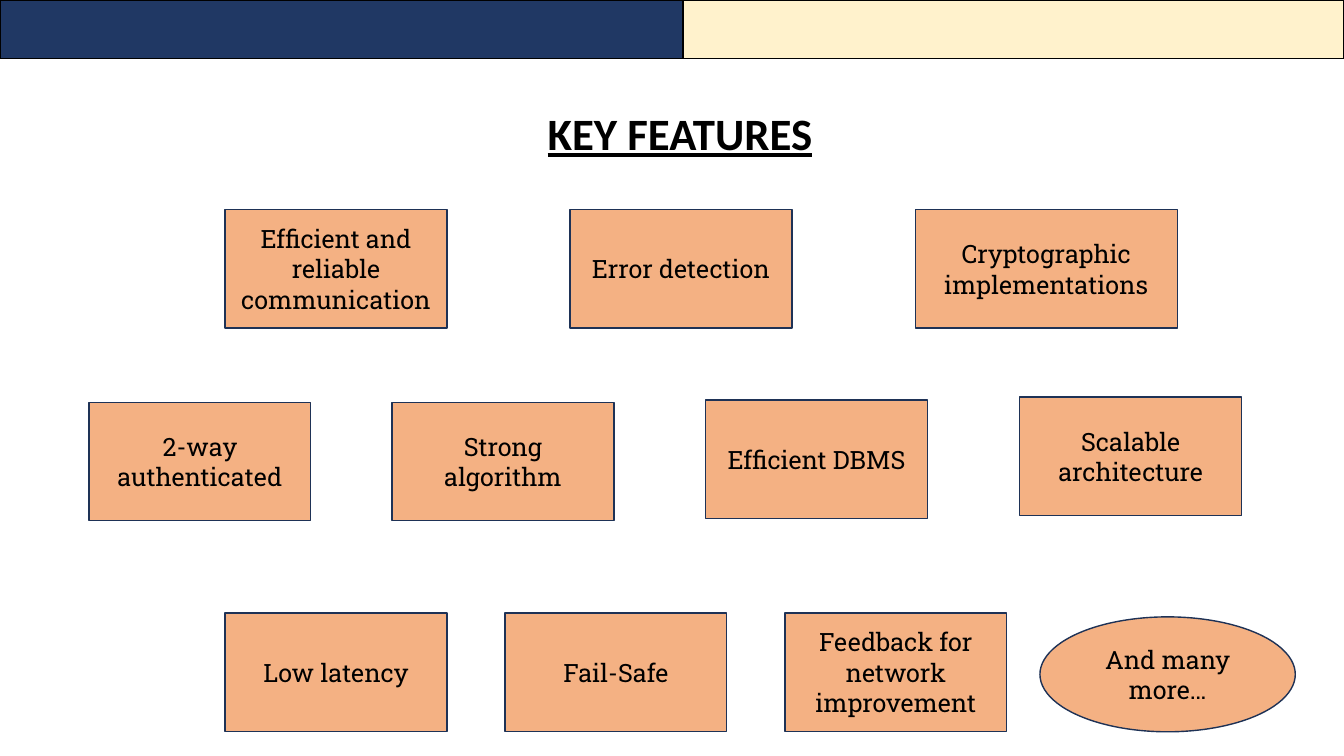
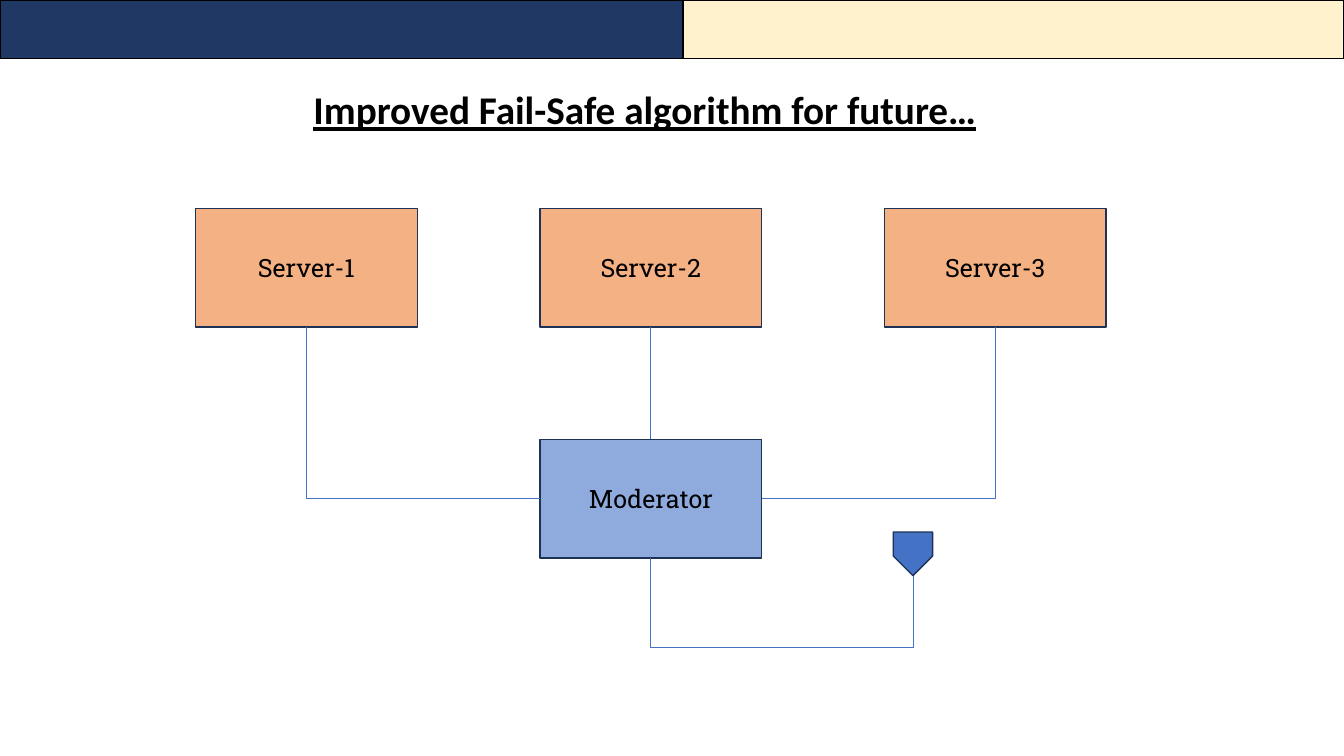
from dataclasses import dataclass

from pptx import Presentation
from pptx.dml.color import RGBColor
from pptx.enum.shapes import MSO_CONNECTOR as WIRE, MSO_SHAPE as SHAPE
from pptx.enum.text import MSO_ANCHOR, MSO_AUTO_SIZE, PP_ALIGN
from pptx.oxml.ns import qn
from pptx.util import Inches, Pt

COLS, ROWS = 40, 30
WIDE, HIGH = Inches(13.33), Inches(7.5)


@dataclass(frozen=True)
class Theme:
    navy: str = "203864"
    cream: str = "FFF2CC"
    peach: str = "F4B183"
    sky: str = "8FAADC"
    blue: str = "4472C4"
    edge: str = "1E3256"
    ink: str = "000000"
    head: str = "Calibri"
    body: str = "Roboto Slab"
    text: int = 18
    box: tuple = (6.6, 4.7)
    split: float = 20.33
    band: float = 2.33


class Deck:
    """Holds the theme and the current slide; lengths are grid columns and rows."""

    def __init__(self):
        self.theme = Theme()
        self.file = Presentation()
        self.file.slide_width, self.file.slide_height = WIDE, HIGH
        self.slide = None

    def grid(self, col, row):
        return round(col * WIDE / COLS), round(row * HIGH / ROWS)

    def style(self, para, font, size):
        para.font.name, para.font.size = font, Pt(size)
        para.font.color.rgb = RGBColor.from_string(self.theme.ink)

    def page(self, title, at, size, points):
        """Start a slide with the two bands and an underlined title."""
        look = self.theme
        self.slide = self.file.slides.add_slide(self.file.slide_layouts[5])
        self.shape((look.split, 0), (COLS - look.split, look.band), look.cream, look.ink)
        self.shape((0, 0), (look.split, look.band), look.navy, look.ink)
        head = self.slide.shapes.title
        head.left, head.top = self.grid(*at)
        head.width, head.height = self.grid(*size)
        frame = head.text_frame
        frame.text = title
        frame.word_wrap, frame.auto_size = True, MSO_AUTO_SIZE.NONE
        frame.vertical_anchor = MSO_ANCHOR.TOP
        para = frame.paragraphs[0]
        para.alignment = PP_ALIGN.LEFT
        self.style(para, look.head, points)
        para.font.bold = para.font.underline = True

    def shape(self, at, size, fill, edge=None, kind=SHAPE.RECTANGLE):
        item = self.slide.shapes.add_shape(kind, *self.grid(*at), *self.grid(*size))
        item.shadow.inherit = False
        item.fill.solid()
        item.fill.fore_color.rgb = RGBColor.from_string(fill)
        item.line.color.rgb = RGBColor.from_string(edge or self.theme.edge)
        item.line.width = Pt(1)
        return item

    def box(self, text, at, size=None, fill=None, kind=SHAPE.RECTANGLE):
        look = self.theme
        item = self.shape(at, size or look.box, fill or look.peach, kind=kind)
        frame = item.text_frame
        frame.text, frame.word_wrap = text, True
        frame.vertical_anchor = MSO_ANCHOR.MIDDLE
        para = frame.paragraphs[0]
        para.alignment = PP_ALIGN.CENTER
        self.style(para, look.body, look.text)
        return item

    def line(self, start=(0, 0), end=(0, 0), kind=WIRE.STRAIGHT):
        item = self.slide.shapes.add_connector(kind, *self.grid(*start), *self.grid(*end))
        item.line.color.rgb = RGBColor.from_string(self.theme.blue)
        item.line.width = Pt(0.5)
        props = item._element.spPr
        props.append(props.makeelement(qn("a:effectLst"), {}))
        return item

    def join(self, first, side, last, stop, bent=False):
        """Link two boxes, with a single corner when bent."""
        item = self.line(kind=WIRE.ELBOW if bent else WIRE.STRAIGHT)
        item.begin_connect(first, side)
        item.end_connect(last, stop)
        if bent:
            item._element.spPr.find(qn("a:prstGeom")).set("prst", "bentConnector2")


def features(deck):
    deck.page("KEY FEATURES", (16, 4), (10, 2.56), 32)
    wide, tall = deck.theme.box

    # Top row, with a wider last box
    names = ("Efficient and reliable communication", "Error detection",
             "Cryptographic implementations")
    for i, name in enumerate(names):
        deck.box(name, (6.7 + 10.27 * i, 8.32), (7.8 if i == 2 else wide, tall))

    # Middle row
    for name, col, row in (("2-way authenticated", 2.65, 15.96),
                           ("Strong algorithm", 11.67, 15.96),
                           ("Efficient DBMS", 21, 15.88),
                           ("Scalable architecture", 30.35, 15.76)):
        deck.box(name, (col, row))

    # Bottom row, closed by an ellipse
    names = ("Low latency", "Fail-Safe", "Feedback for network improvement")
    for i, name in enumerate(names):
        deck.box(name, (6.7 + 8.33 * i, 24.32))
    deck.box("And many more…", (30.95, 24.48), (7.6, 4.56), kind=SHAPE.OVAL)


def failsafe(deck):
    look = deck.theme
    deck.page("Improved Fail-Safe algorithm for future…", (9.03, 3.2), (22, 2.28), 28)
    left, step = 5.82, 10.25
    hub = left + step

    # Servers and their moderator
    nodes = [deck.box(f"Server-{i + 1}", (left + step * i, 8.28)) for i in range(3)]
    core = deck.box("Moderator", (hub, 17.44), fill=look.sky)
    deck.join(core, 1, nodes[0], 2, bent=True)
    deck.join(nodes[1], 2, core, 0)
    deck.join(core, 3, nodes[2], 2, bent=True)

    # Path from the moderator to the marker
    mid, low, tip = hub + look.box[0] / 2, 25.7, 27.17
    drop = deck.line((mid, low), (mid, low))
    drop.begin_connect(core, 2)
    deck.line((mid, low), (tip, low))
    deck.line((tip, low), (tip, 22.5))
    mark = deck.shape((26.52, 21.2), (1.3, 1.56), look.blue, kind=SHAPE.PENTAGON)
    mark.rotation = 90


def main():
    deck = Deck()
    features(deck)
    failsafe(deck)
    deck.file.save("out.pptx")


if __name__ == "__main__":
    main()
